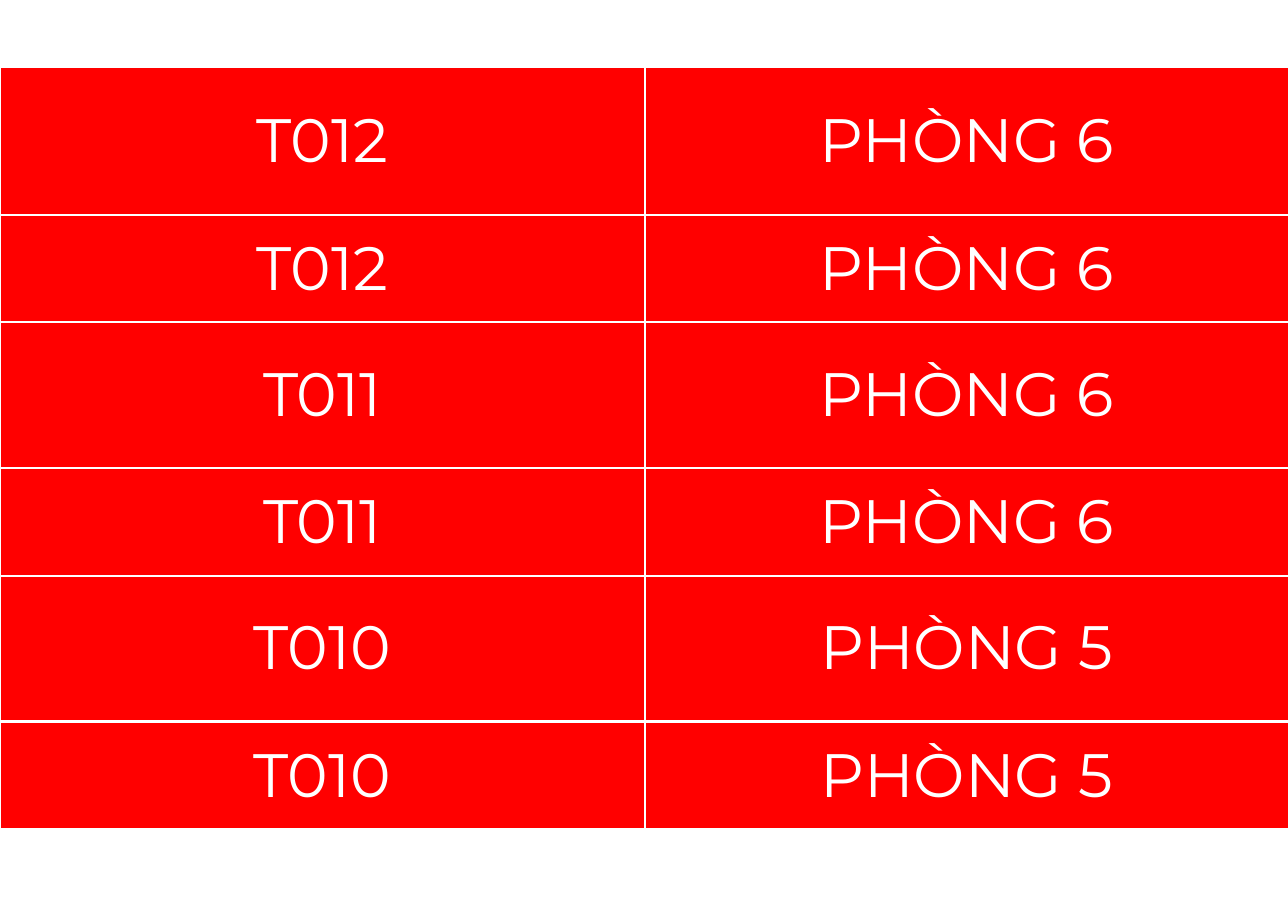
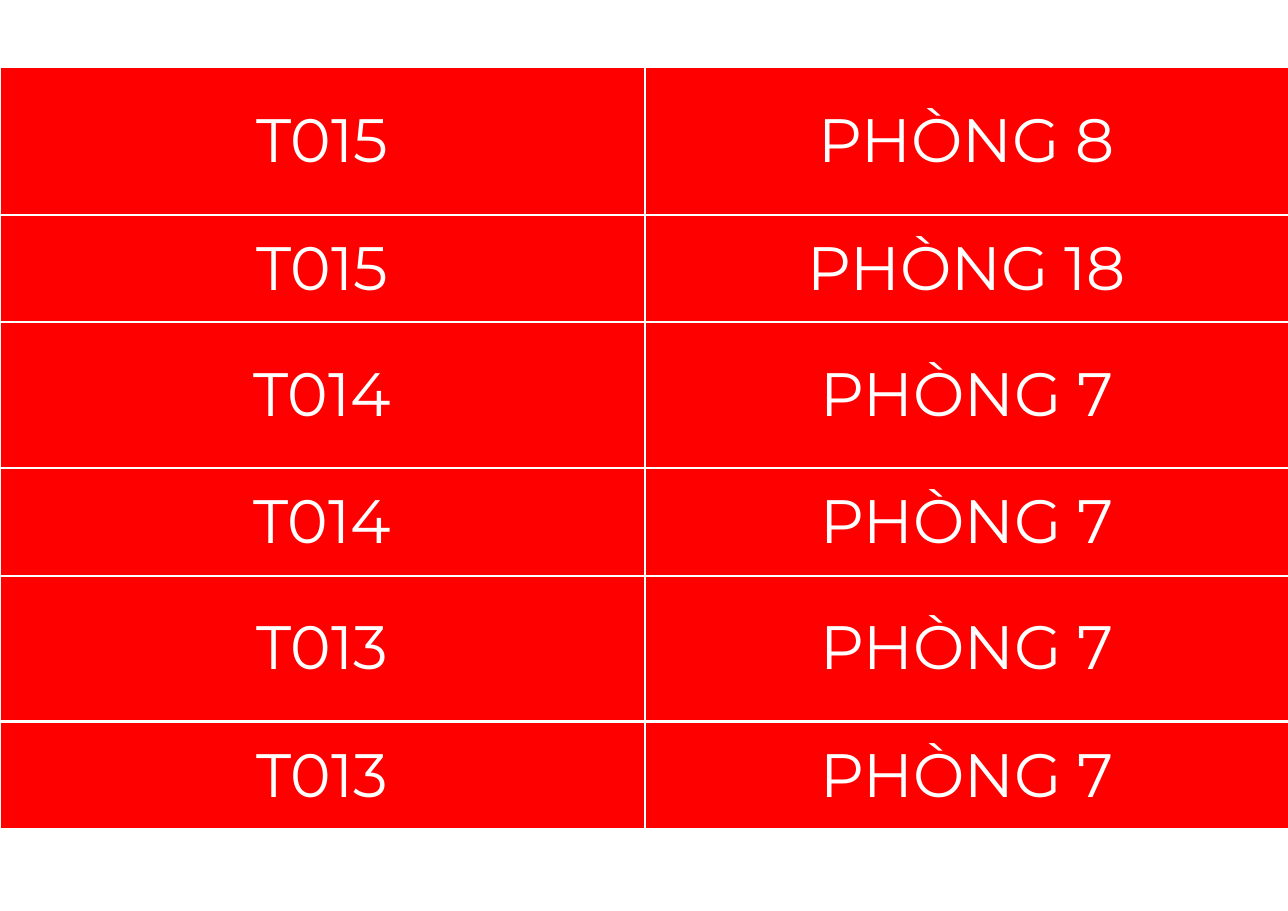
from dataclasses import dataclass

from lxml import etree
from pptx import Presentation
from pptx.dml.color import RGBColor
from pptx.enum.text import MSO_ANCHOR, PP_ALIGN
from pptx.oxml.ns import qn
from pptx.util import Inches, Pt

CENTER = PP_ALIGN.CENTER
MIDDLE = MSO_ANCHOR.MIDDLE
BLANK_LAYOUT = 6


@dataclass(frozen=True)
class Theme:
    band: str = "FF0000"
    ink: str = "FFFFFF"
    font: str = "Montserrat"
    text_size: float = 40
    border_width: float = 1.5
    side_margin: float = 0.12
    end_margin: float = 0.15


@dataclass(frozen=True)
class Box:
    left: float
    top: float
    width: float
    height: float


THEME = Theme()
PAGE_WIDTH, PAGE_HEIGHT = 11.69, 8.27
COLUMN_WIDTH = 5.85
FIRST_TOP = 0.61
TALL_ROW, SHORT_ROW = 1.34, 0.94
GROUP_PITCH = 2.3

# Each group is a ticket code with its tall-row room and its short-row room.
PAGES = [
    [("T012", "PHÒNG 6", "PHÒNG 6"),
     ("T011", "PHÒNG 6", "PHÒNG 6"),
     ("T010", "PHÒNG 5", "PHÒNG 5")],
    [("T015", "PHÒNG 8", "PHÒNG 18"),
     ("T014", "PHÒNG 7", "PHÒNG 7"),
     ("T013", "PHÒNG 7", "PHÒNG 7")],
]


def write_text(frame, text, *, size=THEME.text_size, color=THEME.ink, align=CENTER):
    para = frame.paragraphs[0]
    para.alignment = align
    span = para.add_run()
    span.text = text
    span.font.name = THEME.font
    span.font.size = Pt(size)
    span.font.color.rgb = RGBColor.from_string(color)


def set_borders(cell):
    """Outline all four sides; border elements must precede the cell fill."""
    properties = cell._tc.get_or_add_tcPr()
    for position, side in enumerate(("a:lnL", "a:lnR", "a:lnT", "a:lnB")):
        line = etree.Element(qn(side), w=str(Pt(THEME.border_width)))
        fill = etree.SubElement(line, qn("a:solidFill"))
        etree.SubElement(fill, qn("a:srgbClr"), val=THEME.ink)
        properties.insert(position, line)


def format_cell(cell, text):
    cell.vertical_anchor = MIDDLE
    cell.margin_left = cell.margin_right = Inches(THEME.side_margin)
    cell.margin_top = cell.margin_bottom = Inches(THEME.end_margin)
    cell.fill.solid()
    cell.fill.fore_color.rgb = RGBColor.from_string(THEME.band)
    set_borders(cell)
    write_text(cell.text_frame, text)


def add_label(page, box, texts):
    """Place a one-row table with equal columns in the box."""
    table = page.shapes.add_table(
        1, len(texts), Inches(box.left), Inches(box.top),
        Inches(box.width), Inches(box.height)).table
    table.first_row = table.horz_banding = False
    for column, text in enumerate(texts):
        table.columns[column].width = Inches(box.width / len(texts))
        format_cell(table.cell(0, column), text)


def add_group(page, box, code, tall_room, short_room):
    tall = Box(box.left, box.top, box.width, TALL_ROW)
    short = Box(box.left, box.top + TALL_ROW, box.width, SHORT_ROW)
    add_label(page, tall, (code, tall_room))
    add_label(page, short, (code, short_room))


def add_label_page(deck, groups):
    """Stack the groups, drawing upwards so that upper ones lie in front."""
    page = deck.slides.add_slide(deck.slide_layouts[BLANK_LAYOUT])
    for index, group in reversed(list(enumerate(groups))):
        box = Box(0, FIRST_TOP + index * GROUP_PITCH,
                  2 * COLUMN_WIDTH, TALL_ROW + SHORT_ROW)
        add_group(page, box, *group)


def main():
    deck = Presentation()
    deck.slide_width = Inches(PAGE_WIDTH)
    deck.slide_height = Inches(PAGE_HEIGHT)
    for groups in PAGES:
        add_label_page(deck, groups)
    deck.save("out.pptx")


if __name__ == "__main__":
    main()
